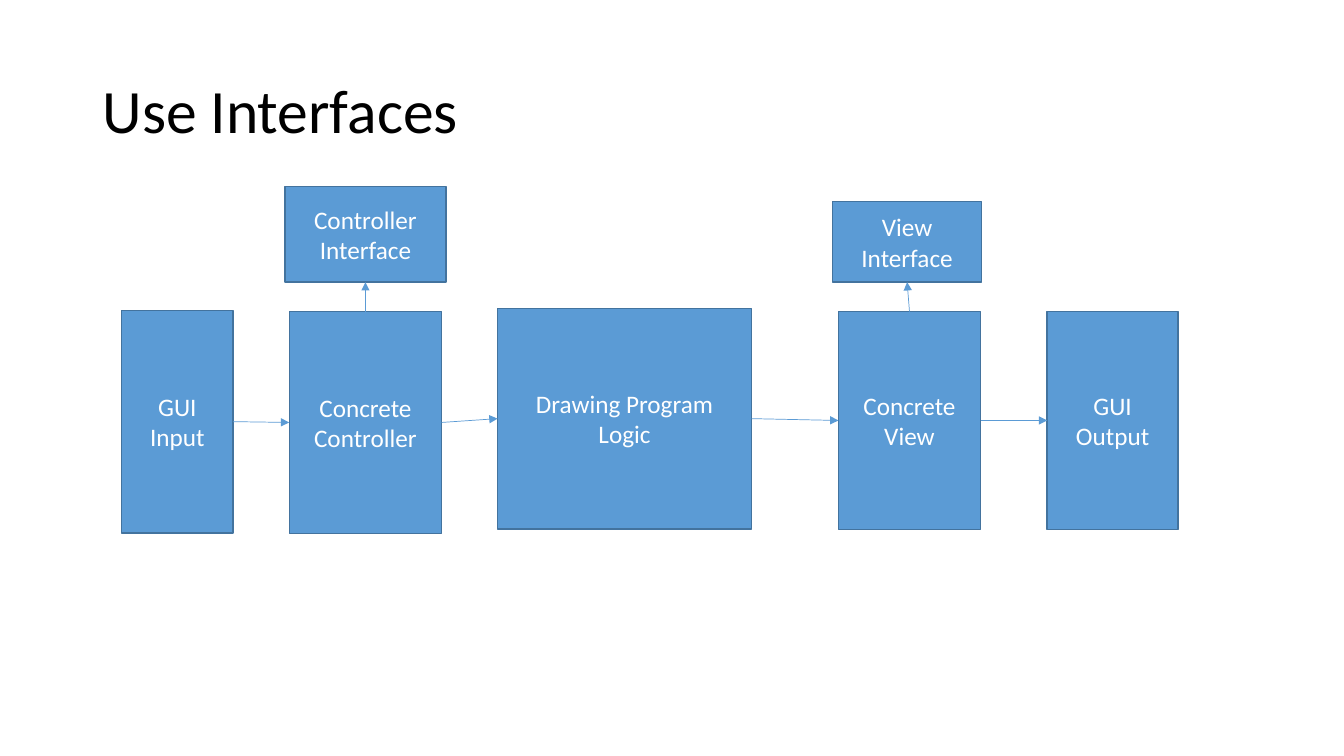
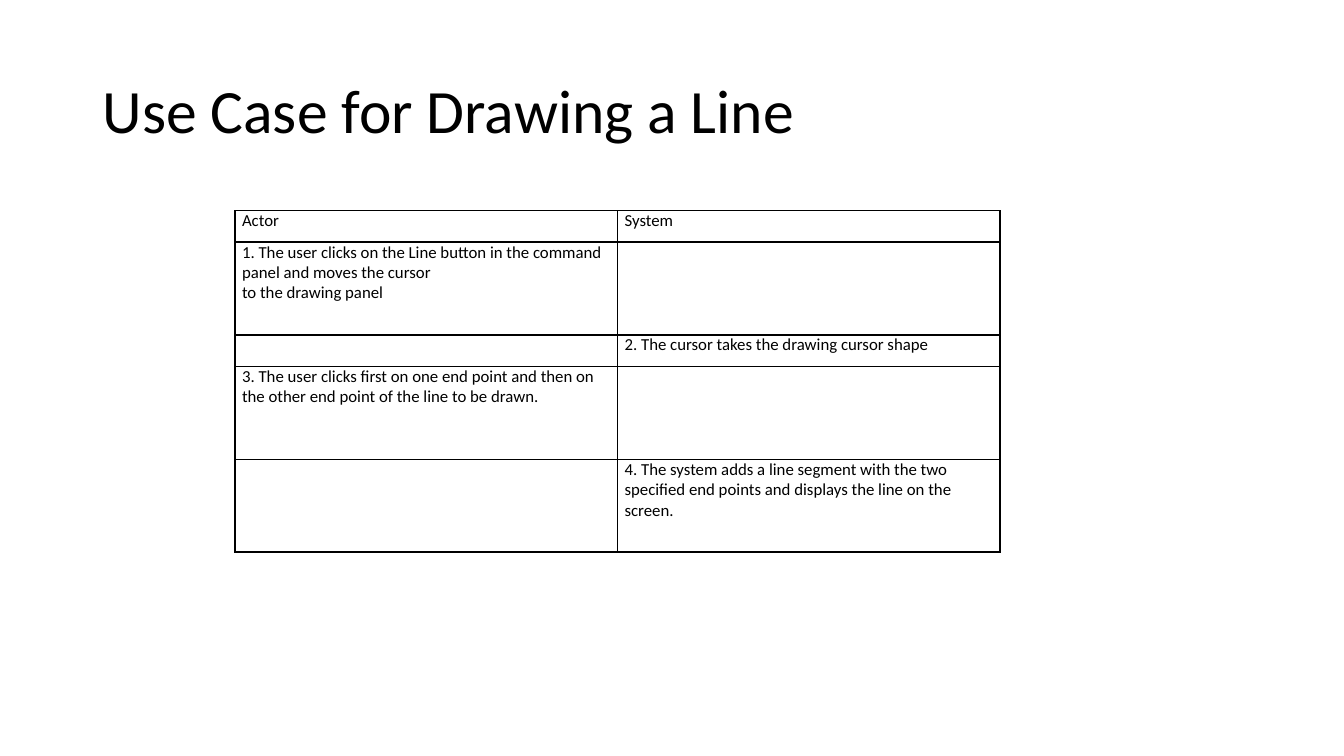
from lxml.etree import SubElement as Sub
from pptx import Presentation as Deck
from pptx.dml.color import RGBColor as Rgb
from pptx.enum.shapes import MSO_CONNECTOR as Link, MSO_SHAPE as Form
from pptx.enum.text import MSO_ANCHOR as Anchor, MSO_AUTO_SIZE as Auto, PP_ALIGN as Align
from pptx.oxml.ns import qn
from pptx.util import Cm, Pt

HUES = {"ink": "000000", "paper": "FFFFFF", "box": "5B9BD5", "edge": "43739E"}
FONT = "Calibri"
BOXES = {
    "logic": ("Drawing Program Logic", 9.47, 3.07, 6.4, 5.56),
    "control": ("Concrete Controller", 4.22, 3.15, 3.84, 5.59),
    "input": ("GUI Input", 0, 3.12, 2.8, 5.61),
    "control face": ("Controller Interface", 4.11, 0, 4.06, 2.41),
    "view": ("Concrete\nView", 18.06, 3.15, 3.58, 5.49),
    "view face": ("View Interface", 17.91, 0.38, 3.76, 2.03),
    "output": ("GUI\nOutput", 23.32, 3.15, 3.3, 5.49),
}
CHAIN = ["input", "control", "logic", "view", "output"]
TOP, LEFT, RIGHT = 0, 1, 3
BASE = 2
STEPS = [
    ("Actor", "System"),
    ("1. The user clicks on the Line button in the command panel and moves the cursor\n"
     "to the drawing panel", ""),
    ("", "2. The cursor takes the drawing cursor shape"),
    ("3. The user clicks first on one end point and then on the other end point "
     "of the line to be drawn.", ""),
    ("", "4. The system adds a line segment with the two specified end points "
     "and displays the line on the screen."),
]
ROWS = [0.79, 2.34, 0.79, 2.34, 2.34]


def hue(name):
    return Rgb.from_string(HUES[name])


def write(frame, text, size=18, ink="ink", align=Align.LEFT, space=None):
    for i, line in enumerate(text.split("\n")):
        para = frame.add_paragraph() if i else frame.paragraphs[0]
        para.alignment = align
        para.line_spacing = space
        if line:
            run = para.add_run()
            run.text = line
            run.font.name, run.font.size = FONT, Pt(size)
            run.font.color.rgb = hue(ink)


def start(deck, text):
    slide = deck.slides.add_slide(deck.slide_layouts[5])
    title = slide.shapes.title
    title.left, title.top, title.width, title.height = map(Cm, (2.33, 1.01, 29.21, 3.68))
    frame = title.text_frame
    frame.auto_size, frame.vertical_anchor = Auto.NONE, Anchor.MIDDLE
    write(frame, text, size=44, space=0.9)
    return slide


def block(slide, text, *area):
    shape = slide.shapes.add_shape(Form.RECTANGLE, *map(Cm, area))
    shape.shadow.inherit = False
    shape.fill.solid()
    shape.fill.fore_color.rgb = hue("box")
    shape.line.color.rgb = hue("edge")
    shape.line.width = Pt(1)
    frame = shape.text_frame
    frame.word_wrap, frame.vertical_anchor = True, Anchor.MIDDLE
    write(frame, text, ink="paper", align=Align.CENTER)
    return shape


def arrow(slide, tail, out, head, into):
    line = slide.shapes.add_connector(Link.STRAIGHT, 0, 0, 0, 0)
    line.begin_connect(tail, out)
    line.end_connect(head, into)
    line.line.color.rgb = hue("box")
    line.line.width = Pt(0.5)
    props = line._element.spPr
    Sub(props.find(qn("a:ln")), qn("a:tailEnd"), type="triangle")
    Sub(props, qn("a:effectLst"))


def flow(slide, left, top):
    made = {name: block(slide, text, left + x, top + y, wide, high)
            for name, (text, x, y, wide, high) in BOXES.items()}
    for tail, head in zip(CHAIN, CHAIN[1:]):
        arrow(slide, made[tail], RIGHT, made[head], LEFT)
    for name in ("control", "view"):
        arrow(slide, made[name], TOP, made[name + " face"], BASE)


def border(cell):
    props = cell._tc.get_or_add_tcPr()
    for side in ("lnL", "lnR", "lnT", "lnB"):
        line = Sub(props, qn("a:" + side), w=str(Pt(1)))
        fill = Sub(line, qn("a:solidFill"))
        Sub(fill, qn("a:srgbClr"), val=HUES["ink"])


def grid(slide, left, top, wide):
    area = map(Cm, (left, top, wide, sum(ROWS)))
    table = slide.shapes.add_table(len(STEPS), len(STEPS[0]), *area).table
    table.first_row = table.horz_banding = False
    for row, high, texts in zip(table.rows, ROWS, STEPS):
        row.height = Cm(high)
        for cell, text in zip(row.cells, texts):
            cell.margin_left = cell.margin_right = Cm(0.18)
            cell.margin_top = cell.margin_bottom = 0
            border(cell)
            cell.fill.background()
            write(cell.text_frame, text, size=12)


def main():
    deck = Deck()
    deck.slide_width, deck.slide_height = Cm(33.87), Cm(19.05)
    flow(start(deck, "Use Interfaces"), 3.07, 4.7)
    grid(start(deck, "Use Case for Drawing a Line"), 5.92, 5.31, 19.28)
    deck.save("out.pptx")


if __name__ == "__main__":
    main()
